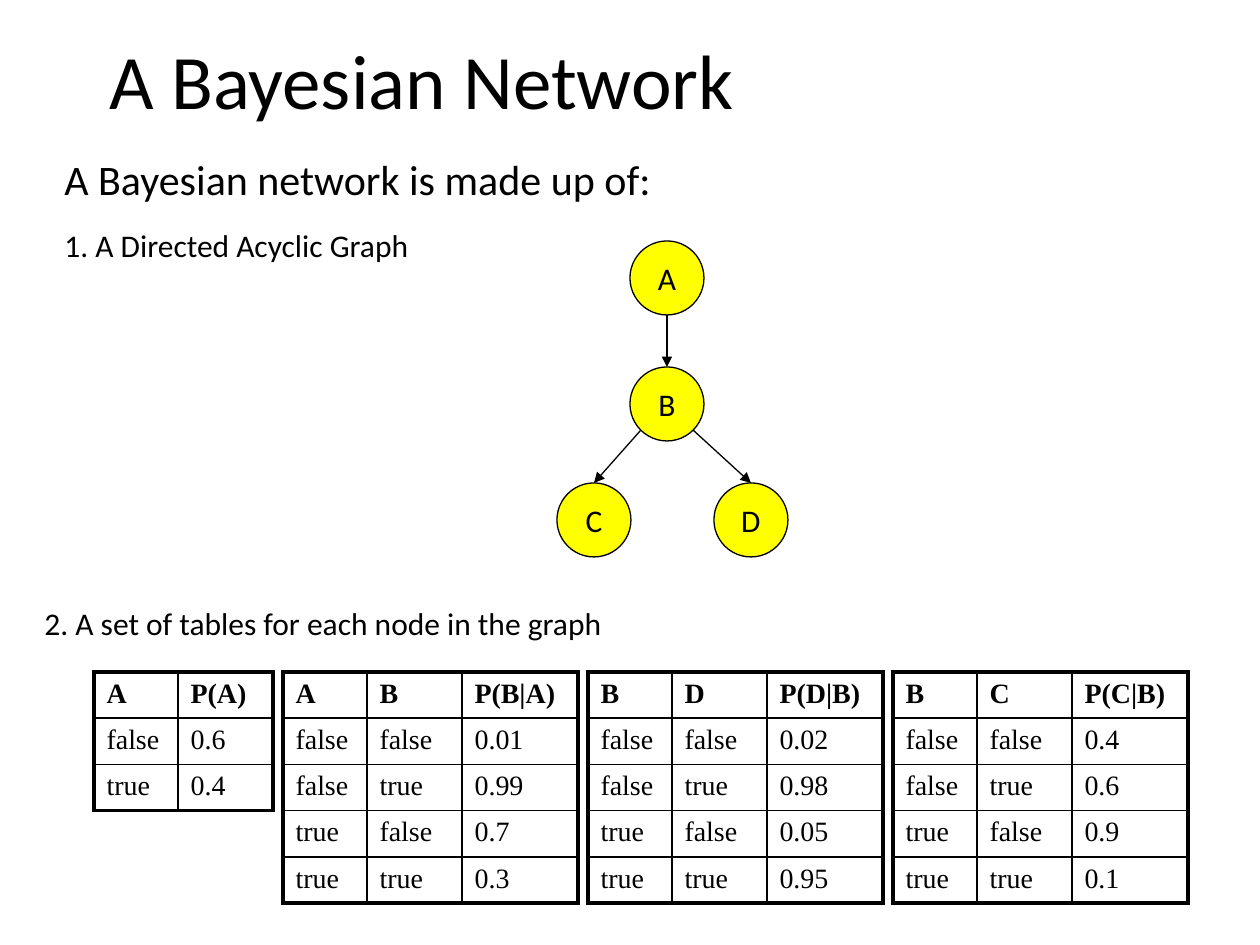
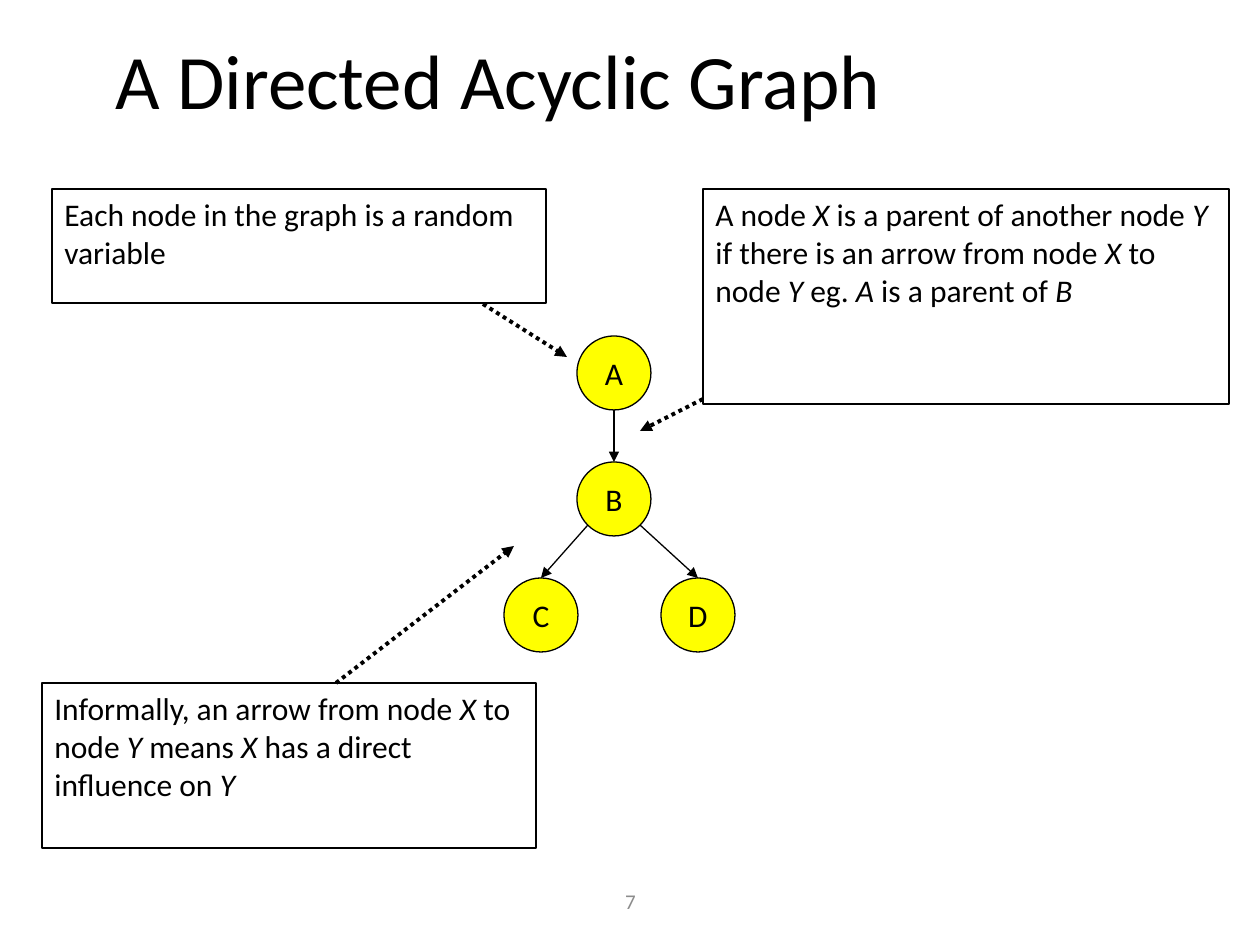
from dataclasses import dataclass
from itertools import product
from math import sqrt

from lxml import etree
from pptx import Presentation
from pptx.dml.color import RGBColor as Color
from pptx.enum.dml import MSO_LINE_DASH_STYLE as Dash
from pptx.enum.shapes import MSO_CONNECTOR as Connector, MSO_SHAPE as Preset
from pptx.enum.text import MSO_ANCHOR as Anchor, PP_ALIGN as Align
from pptx.oxml.ns import qn
from pptx.util import Emu, Pt


@dataclass(frozen=True)
class Theme:
    ink: str = "000000"
    node: str = "FFFF00"
    muted: str = "8C8C8C"
    font: str = "Calibri"
    table_font: str = "Times New Roman"
    title: int = 44
    lead: int = 24
    body: int = 18
    cell: int = 16
    footer: int = 12
    thin: float = 0.75
    grid: float = 1
    thick: float = 2.25


THEME = Theme()
SCALE = 914400 // 126  # EMU in one pixel

# Content: boxes are (left, top, width, height); *stars* mark italics
NETWORK_TITLE = ("A Bayesian Network", (94, 21, 656, 116))
GRAPH_TITLE = ("A Directed Acyclic Graph", (94, 21, 809, 116))
LABELS = [
    ("A Bayesian network is made up of:", (52, 147, 630, 73), THEME.lead),
    ("1. A Directed Acyclic Graph", (52, 220, 525, 63), THEME.body),
    ("2. A set of tables for each node in the graph", (32, 598, 903, 63), THEME.body),
]
NODE_SIZE = 74
NODES = {"A": (0, 0), "B": (0, 126), "C": (-73, 242), "D": (84, 242)}
EDGES = [("A", "B"), ("B", "C"), ("B", "D")]

TABLES = [  # given variables, probabilities in truth-table order
    (["A"], "P(A)", ["0.6", "0.4"]),
    (["A", "B"], "P(B|A)", ["0.01", "0.99", "0.7", "0.3"]),
    (["B", "D"], "P(D|B)", ["0.02", "0.98", "0.05", "0.95"]),
    (["B", "C"], "P(C|B)", ["0.4", "0.6", "0.9", "0.1"]),
]
TABLE_LEFT, TABLE_TOP, TABLE_GAP, ROW_HEIGHT = 94, 672, 10, 43
COLUMN_WIDTHS = (84, 95, 116)

NOTES = [  # text, box, pointer start, pointer end
    ("Each node in the graph is a random variable",
     (52, 189, 494, 114), (483, 304), (567, 357)),
    ("A node *X* is a parent of another node *Y* if there is an arrow "
     "from node *X* to node *Y* eg. *A* is a parent of *B*",
     (703, 189, 526, 215), (703, 399), (640, 431)),
    ("Informally, an arrow from node *X* to node *Y* means *X* has a direct "
     "influence on *Y*",
     (42, 683, 494, 165), (336, 683), (514, 546)),
]
PAGE_NUMBER = ("7", (431, 876, 399, 50))


def px(*lengths):
    return [Emu(round(length * SCALE)) for length in lengths]


def write(frame, text, size, font=THEME.font, color=THEME.ink, bold=False, align=Align.LEFT):
    paragraph = frame.paragraphs[0]
    paragraph.alignment = align
    for index, part in enumerate(text.split("*")):
        if part:
            run = paragraph.add_run()
            run.text = part
            run.font.name, run.font.size = font, Pt(size)
            run.font.bold, run.font.italic = bold, index % 2 == 1
            run.font.color.rgb = Color.from_string(color)


def add_text(slide, text, box, size, anchor=Anchor.TOP, **style):
    frame = slide.shapes.add_textbox(*px(*box)).text_frame
    frame.word_wrap = True
    frame.vertical_anchor = anchor
    write(frame, text, size, **style)


def add_title(slide, text, box):
    add_text(slide, text, box, THEME.title, Anchor.MIDDLE, align=Align.CENTER)


def add_outlined(slide, preset, box, anchor, wrap):
    shape = slide.shapes.add_shape(preset, *px(*box))
    shape.shadow.inherit = False
    shape.line.color.rgb = Color.from_string(THEME.ink)
    shape.line.width = Pt(THEME.thin)
    shape.text_frame.word_wrap = wrap
    shape.text_frame.vertical_anchor = anchor
    return shape


def add_arrow(slide, start, end, width=THEME.thin, dash=None):
    arrow = slide.shapes.add_connector(Connector.STRAIGHT, *px(*start, *end))
    arrow.line.color.rgb = Color.from_string(THEME.ink)
    arrow.line.width = Pt(width)
    if dash:
        arrow.line.dash_style = dash
    properties = arrow.element.spPr
    etree.SubElement(properties.find(qn("a:ln")), qn("a:tailEnd"), type="triangle")
    etree.SubElement(properties, qn("a:effectLst"))


def add_graph(slide, left, top):
    radius = NODE_SIZE / 2
    centers = {}
    for name, (dx, dy) in NODES.items():
        box = (left + dx, top + dy, NODE_SIZE, NODE_SIZE)
        centers[name] = (box[0] + radius, box[1] + radius)
        shape = add_outlined(slide, Preset.OVAL, box, Anchor.MIDDLE, False)
        shape.fill.solid()
        shape.fill.fore_color.rgb = Color.from_string(THEME.node)
        write(shape.text_frame, name, THEME.body, align=Align.CENTER)
    # Leave a parent straight down or on its diagonal, enter a child at the top
    for parent, child in EDGES:
        (x1, y1), (x2, y2) = centers[parent], centers[child]
        side = (x2 > x1) - (x2 < x1)
        drop = radius / sqrt(2) if side else radius
        add_arrow(slide, (x1 + side * drop, y1 + drop), (x2, y2 - radius))


def set_borders(cell, widths):
    properties = cell._tc.get_or_add_tcPr()
    for index, (side, width) in enumerate(widths.items()):
        line = etree.Element(qn("a:ln" + side), w=str(Pt(width)))
        fill = etree.SubElement(line, qn("a:solidFill"))
        etree.SubElement(fill, qn("a:srgbClr"), val=THEME.ink)
        properties.insert(index, line)


def add_probability_table(slide, left, variables, heading, values):
    truths = product(("false", "true"), repeat=len(variables))
    rows = [[*variables, heading]] + [[*truth, value] for truth, value in zip(truths, values)]
    widths = COLUMN_WIDTHS[:len(rows[0])]
    table = slide.shapes.add_table(
        len(rows), len(widths),
        *px(left, TABLE_TOP, sum(widths), ROW_HEIGHT * len(rows))).table
    table.first_row = table.horz_banding = False
    for column, width in zip(table.columns, px(*widths)):
        column.width = width
    last_row, last_column = len(rows) - 1, len(widths) - 1
    for r, row in enumerate(rows):
        for c, text in enumerate(row):
            cell = table.cell(r, c)
            cell.fill.background()
            write(cell.text_frame, text, THEME.cell, THEME.table_font, bold=r == 0)
            outer = {"L": c == 0, "R": c == last_column, "T": r == 0, "B": r == last_row}
            set_borders(cell, {side: THEME.thick if edge else THEME.grid
                               for side, edge in outer.items()})
    return left + sum(widths) + TABLE_GAP


presentation = Presentation()
presentation.slide_width, presentation.slide_height = px(1260, 945)
blank = presentation.slide_layouts[6]

# Slide 1: the graph and its probability tables
slide = presentation.slides.add_slide(blank)
add_title(slide, *NETWORK_TITLE)
for text, box, size in LABELS:
    add_text(slide, text, box, size)
add_graph(slide, 630, 241)
left = TABLE_LEFT
for variables, heading, values in TABLES:
    left = add_probability_table(slide, left, variables, heading, values)

# Slide 2: the graph explained by notes
slide = presentation.slides.add_slide(blank)
add_title(slide, *GRAPH_TITLE)
add_graph(slide, 577, 336)
for text, box, start, end in NOTES:
    note = add_outlined(slide, Preset.RECTANGLE, box, Anchor.TOP, True)
    note.fill.background()
    write(note.text_frame, text, THEME.body)
    add_arrow(slide, start, end, THEME.thick, Dash.ROUND_DOT)
add_text(slide, *PAGE_NUMBER, THEME.footer, Anchor.MIDDLE,
         color=THEME.muted, align=Align.CENTER)

presentation.save("out.pptx")
